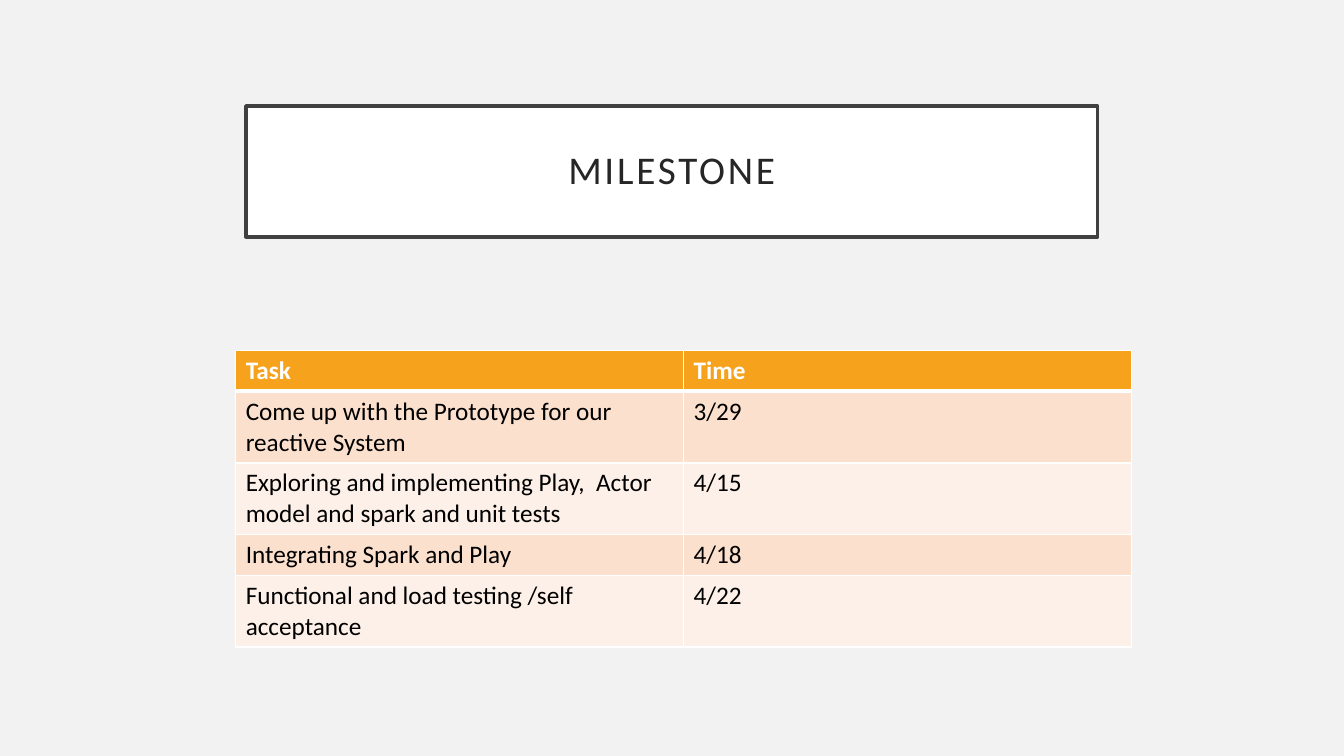
"""Build the milestone slide: a framed title above a table of tasks and dates."""
from dataclasses import dataclass

from lxml.etree import SubElement
from pptx import Presentation
from pptx.dml.color import RGBColor
from pptx.enum.shapes import MSO_SHAPE
from pptx.enum.text import MSO_ANCHOR, PP_ALIGN
from pptx.oxml.ns import qn
from pptx.slide import Slide
from pptx.table import _Cell
from pptx.text.text import _Paragraph, _Run
from pptx.util import Cm, Pt

FONT = "Calibri"
HUES = {
    "page": "F2F2F2", "white": "FFFFFF", "frame": "404040", "title": "262626",
    "head": "F6A21D", "odd": "FBE0CD", "even": "FDF0E8", "ink": "000000",
}


@dataclass
class Entry:
    task: str
    time: str
    fill: str
    ink: str = "ink"
    bold: bool = False
    base: float = 1


ROWS = [
    Entry("Task", "Time", "head", "white", True, 3),
    Entry("Come up with the Prototype for our reactive System", "3/29", "odd"),
    Entry("Exploring and implementing Play,  Actor model and spark and unit tests", "4/15", "even"),
    Entry("Integrating Spark and Play", "4/18", "odd"),
    Entry("Functional and load testing /self acceptance", "4/22", "even"),
]


def hue(name: str) -> RGBColor:
    return RGBColor.from_string(HUES[name])


def add_run(para: _Paragraph, text: str, size: float, ink: str, bold: bool = False) -> _Run:
    run = para.add_run()
    run.text = text
    font = run.font
    font.name, font.size, font.bold = FONT, Pt(size), bold
    font.color.rgb = hue(ink)
    return run


def add_edge(cell: _Cell, side: str, width: float) -> None:
    props = cell._tc.get_or_add_tcPr()
    line = SubElement(props, qn(f"a:ln{side}"), w=str(Pt(width)))
    fill = SubElement(line, qn("a:solidFill"))
    SubElement(fill, qn("a:srgbClr"), val=HUES["white"])


def add_title(slide: Slide, text: str) -> None:
    box = slide.shapes.add_shape(MSO_SHAPE.RECTANGLE, Cm(6.2), Cm(2.67), Cm(21.46), Cm(3.3))
    box.shadow.inherit = False
    box.fill.solid()
    box.fill.fore_color.rgb = hue("white")
    box.line.color.rgb = hue("frame")
    box.line.width = Pt(2.5)
    frame = box.text_frame
    frame.word_wrap = True
    frame.vertical_anchor = MSO_ANCHOR.MIDDLE
    frame.margin_left = frame.margin_right = Cm(0.5)
    frame.margin_top = frame.margin_bottom = Cm(0.5)
    para = frame.paragraphs[0]
    para.alignment = PP_ALIGN.CENTER
    para.line_spacing = 0.9
    run = add_run(para, text, 28, "title")
    run.font._element.set("spc", "200")


def add_plan(slide: Slide, rows: list[Entry]) -> None:
    high = Cm(1.03)
    table = slide.shapes.add_table(
        len(rows), 2, Cm(5.94), Cm(8.83), Cm(22.58), high * len(rows)).table
    for place, entry in enumerate(rows):
        table.rows[place].height = high
        top = rows[place - 1].base if place else 1
        for cell, text in zip(table.rows[place].cells, (entry.task, entry.time)):
            for side, width in zip("LRTB", (1, 1, top, entry.base)):
                add_edge(cell, side, width)
            cell.fill.solid()
            cell.fill.fore_color.rgb = hue(entry.fill)
            add_run(cell.text_frame.paragraphs[0], text, 18, entry.ink, entry.bold)


def main() -> None:
    deck = Presentation()
    deck.slide_width, deck.slide_height = Cm(33.87), Cm(19.05)
    slide = deck.slides.add_slide(deck.slide_layouts[6])
    slide.background.fill.solid()
    slide.background.fill.fore_color.rgb = hue("page")
    add_title(slide, "MILESTONE")
    add_plan(slide, ROWS)
    deck.save("out.pptx")


main()
